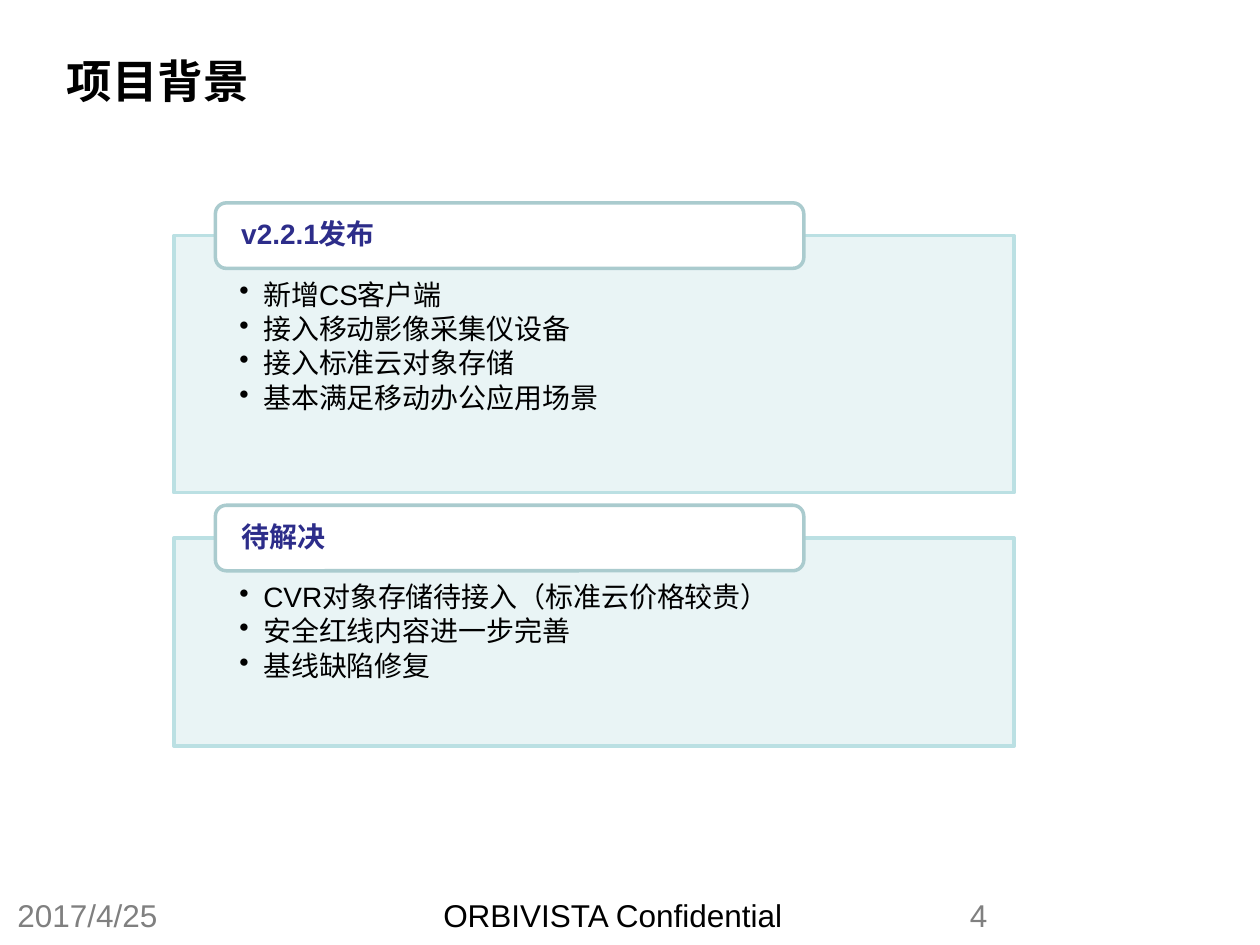
from dataclasses import dataclass

import pptx
import pptx.dml.color
import pptx.enum.shapes
import pptx.enum.text
import pptx.oxml.xmlchemy
import pptx.util
from lxml import etree
from pptx.oxml import ns

COLS, ROWS = 100, 75
MSO = pptx.enum.shapes.MSO_SHAPE
ANCHOR = pptx.enum.text.MSO_ANCHOR
ALIGN = pptx.enum.text.PP_ALIGN


@dataclass(frozen=True)
class Theme:
    font: str = "Arial"
    ink: str = "000000"
    muted: str = "808080"
    heading: str = "2D2D8A"
    panel_fill: str = "E7F3F4"
    panel_line: str = "BBE0E3"
    tab_fill: str = "FFFFFF"
    tab_line: str = "AACBCE"
    title_size: int = 26
    footer_size: int = 18
    body_size: int = 16
    line_width: int = 2


@dataclass(frozen=True)
class Box:
    """Place on the grid: column, row, columns wide, rows high."""
    col: float
    row: float
    cols: float
    rows: float


@dataclass(frozen=True)
class Label:
    text: str
    box: Box
    size: int
    color: str
    bold: bool = False
    anchor: ANCHOR = ANCHOR.TOP


@dataclass(frozen=True)
class Panel:
    heading: str
    bullets: tuple[str, ...]
    rows: float


T = Theme()
PANEL_COL, PANEL_COLS, FIRST_ROW, PANEL_GAP = 13.8, 66.7, 18.7, 3.6
TAB_INDENT, TAB_RISE, TAB_COLS, TAB_ROWS = 3.3, 2.6, 46.7, 5.2
FOOTER_ROW, FOOTER_ROWS = 70.6, 4

LABELS = (
    Label("项目背景", Box(4.3, 3.6, 74.8, 5.5), T.title_size, T.ink, True, ANCHOR.MIDDLE),
    Label("2017/4/25", Box(0.4, FOOTER_ROW, 23.3, FOOTER_ROWS), T.footer_size, T.muted),
    Label("ORBIVISTA Confidential", Box(34.2, FOOTER_ROW, 31.7, FOOTER_ROWS),
          T.footer_size, T.ink),
    Label("4", Box(76, FOOTER_ROW, 23.3, FOOTER_ROWS), T.footer_size, T.muted),
)
PANELS = (
    Panel("v2.2.1发布",
          ("新增CS客户端", "接入移动影像采集仪设备", "接入标准云对象存储", "基本满足移动办公应用场景"),
          20.4),
    Panel("待解决",
          ("CVR对象存储待接入（标准云价格较贵）", "安全红线内容进一步完善", "基线缺陷修复"),
          16.5),
)

prs = pptx.Presentation()
prs.slide_width, prs.slide_height = pptx.util.Inches(10), pptx.util.Inches(7.5)
s = prs.slides.add_slide(prs.slide_layouts[6])


def place(box: Box) -> tuple[int, int, int, int]:
    w, h = prs.slide_width / COLS, prs.slide_height / ROWS
    return (round(box.col * w), round(box.row * h),
            round(box.cols * w), round(box.rows * h))


def rgb(color: str) -> pptx.dml.color.RGBColor:
    return pptx.dml.color.RGBColor.from_string(color)


def set_all(obj: object, values: dict) -> None:
    for name, value in values.items():
        setattr(obj, name, value)


def set_frame(tf, anchor: ANCHOR, insets: tuple[float, ...] = (0.1, 0.05, 0.1, 0.05)) -> None:
    sides = ("margin_left", "margin_top", "margin_right", "margin_bottom")
    set_all(tf, {"word_wrap": True, "vertical_anchor": anchor,
                 **{side: pptx.util.Inches(i) for side, i in zip(sides, insets)}})


def write(p, text: str, size: int, color: str, bold: bool = False) -> None:
    r = p.add_run()
    r.text = text
    set_all(r.font, {"name": T.font, "size": pptx.util.Pt(size), "bold": bold})
    r.font.color.rgb = rgb(color)


def add_label(label: Label) -> None:
    tf = s.shapes.add_textbox(*place(label.box)).text_frame
    set_frame(tf, label.anchor)
    write(tf.paragraphs[0], label.text, label.size, label.color, label.bold)


def add_block(kind: MSO, box: Box, fill: str, line: str):
    sp = s.shapes.add_shape(kind, *place(box))
    sp.shadow.inherit = False
    sp.fill.solid()
    sp.fill.fore_color.rgb = rgb(fill)
    sp.line.color.rgb = rgb(line)
    sp.line.width = pptx.util.Pt(T.line_width)
    return sp


def add_bullet(p) -> None:
    pPr = p._p.get_or_add_pPr()
    indent = pptx.util.Inches(0.19)
    pPr.set("marL", str(indent))
    pPr.set("indent", str(-indent))
    etree.SubElement(pPr, ns.qn("a:buChar"), char="•")


def add_panel(panel: Panel, row: float) -> None:
    # Body with its bullet list
    sp = add_block(MSO.RECTANGLE, Box(PANEL_COL, row, PANEL_COLS, panel.rows),
                   T.panel_fill, T.panel_line)
    color = sp.fill._xPr.find(".//" + ns.qn("a:srgbClr"))
    etree.SubElement(color, ns.qn("a:alpha"), val="90000")
    tf = sp.text_frame
    set_frame(tf, ANCHOR.TOP, (0.52, 0.36, 0.52, 0.12))
    for i, text in enumerate(panel.bullets):
        p = tf.add_paragraph() if i else tf.paragraphs[0]
        add_bullet(p)
        set_all(p, {"level": 1, "alignment": ALIGN.LEFT, "line_spacing": 0.9,
                    "space_after": pptx.util.Pt(0.15 * T.body_size)})
        write(p, text, T.body_size, T.ink)

    # Heading tab over the top edge
    sp = add_block(MSO.ROUNDED_RECTANGLE,
                   Box(PANEL_COL + TAB_INDENT, row - TAB_RISE, TAB_COLS, TAB_ROWS),
                   T.tab_fill, T.tab_line)
    set_frame(sp.text_frame, ANCHOR.MIDDLE, (0.18, 0, 0.18, 0))
    p = sp.text_frame.paragraphs[0]
    set_all(p, {"alignment": ALIGN.LEFT, "line_spacing": 0.9})
    write(p, panel.heading, T.body_size, T.heading, True)


def main() -> None:
    # Title and footer
    for label in LABELS:
        add_label(label)

    # Panels, stacked with an equal gap
    row = FIRST_ROW
    for panel in PANELS:
        add_panel(panel, row)
        row += panel.rows + PANEL_GAP

    prs.save("out.pptx")


if __name__ == "__main__":
    main()
